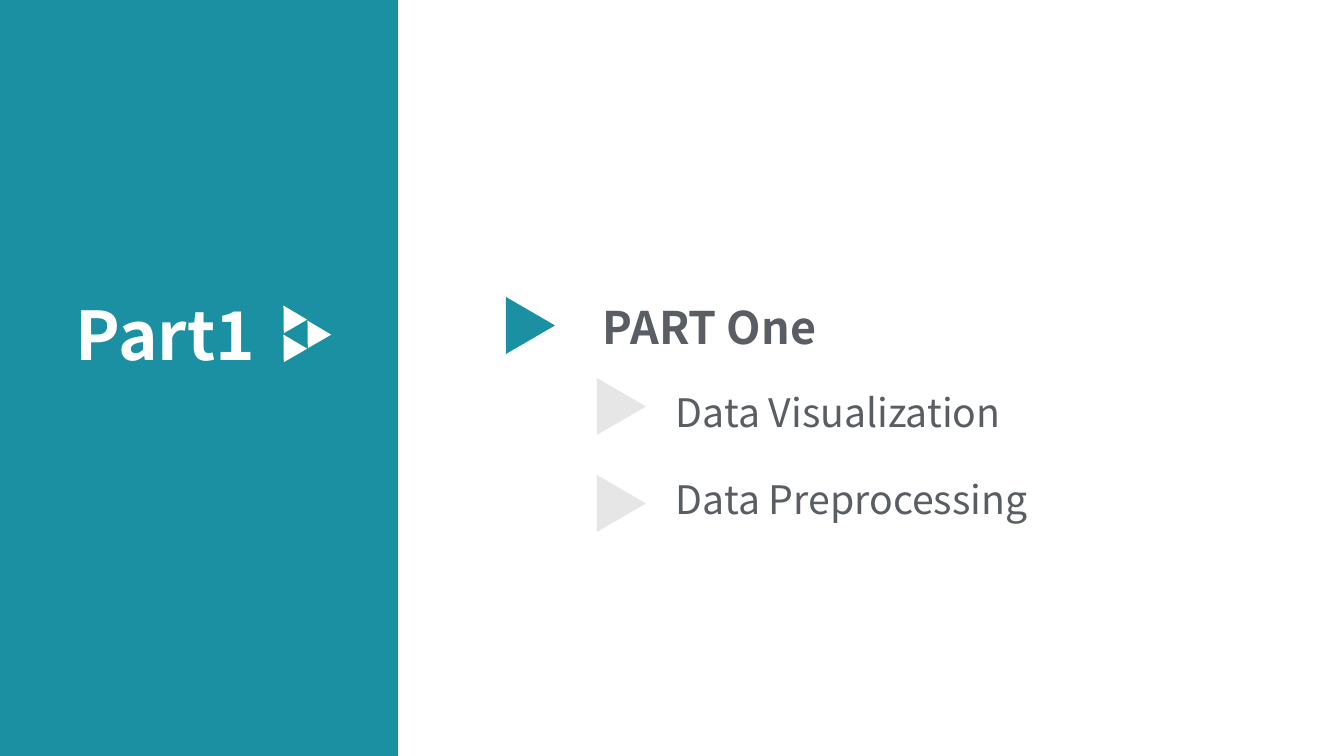
from dataclasses import dataclass

from lxml import etree
from pptx import Presentation
from pptx.dml.color import RGBColor
from pptx.enum import shapes, text
from pptx.oxml import ns
from pptx.util import Emu, Pt

TEAL = RGBColor(0x1B, 0x90, 0xA2)
GREY = RGBColor(0x59, 0x5E, 0x64)
PALE = RGBColor(0xE7, 0xE6, 0xE6)
WHITE = RGBColor(0xFF, 0xFF, 0xFF)
FONT = "Noto Sans CJK SC"
EMU_PER_PX = 914400 / 100.8


@dataclass(frozen=True)
class Box:
    left: int
    top: int
    width: int
    height: int


@dataclass(frozen=True)
class Block:
    """A preset shape filled with one colour."""
    box: Box
    color: RGBColor
    kind: shapes.MSO_SHAPE = shapes.MSO_SHAPE.ISOSCELES_TRIANGLE
    rotation: int = 90


@dataclass(frozen=True)
class Style:
    size: int
    color: RGBColor
    bold: bool = False


def px(length: int) -> Emu:
    return Emu(round(length * EMU_PER_PX))


def place(shape, box: Box) -> None:
    for name in ("left", "top", "width", "height"):
        setattr(shape, name, px(getattr(box, name)))


def draw_block(slide, block: Block) -> None:
    shape = slide.shapes.add_shape(block.kind, 0, 0, 0, 0)
    place(shape, block.box)
    shape.rotation = block.rotation
    shape.shadow.inherit = False
    shape.fill.solid()
    shape.fill.fore_color.rgb = block.color
    shape.line.fill.background()


def write_lines(shape, box: Box, lines: list[str], style: Style,
                gap: float = 0, inset: int = 10) -> None:
    place(shape, box)
    frame = shape.text_frame
    frame_format = {
        "word_wrap": True,
        "auto_size": text.MSO_AUTO_SIZE.NONE,
        "vertical_anchor": text.MSO_ANCHOR.MIDDLE,
        "margin_left": px(inset),
    }
    for name, value in frame_format.items():
        setattr(frame, name, value)

    font_format = {"name": FONT, "size": Pt(style.size), "bold": style.bold}
    for index, line in enumerate(lines):
        paragraph = frame.paragraphs[0] if index == 0 else frame.add_paragraph()
        properties = paragraph._p.get_or_add_pPr()
        properties.set("marL", "0")
        properties.set("indent", "0")
        etree.SubElement(properties, ns.qn("a:buNone"))
        paragraph.alignment = text.PP_ALIGN.LEFT
        paragraph.space_before = Pt(gap if index else 0)
        run = paragraph.add_run()
        run.text = line
        for name, value in font_format.items():
            setattr(run.font, name, value)
        run.font.color.rgb = style.color


TOPICS = ["Data Visualization", "Data Preprocessing"]
TOPIC_TOP, TOPIC_PITCH = 382, 97

BANNER = Block(Box(0, 0, 398, 756), TEAL, shapes.MSO_SHAPE.RECTANGLE, 0)
PART_MARKER = Block(Box(502, 301, 57, 49), TEAL)
TOPIC_MARKERS = [
    Block(Box(593, TOPIC_TOP + row * TOPIC_PITCH, 57, 49), PALE)
    for row in range(len(TOPICS))
]
# Three small triangles that form one arrow
ARROW_PIECES = [
    Block(Box(left, top, 27, 24), WHITE, rotation=330)
    for left, top in ((276, 304), (276, 333), (300, 319))
]


def main() -> None:
    presentation = Presentation()
    presentation.slide_width, presentation.slide_height = px(1344), px(756)
    slide = presentation.slides.add_slide(presentation.slide_layouts[1])
    title, topics = slide.placeholders

    # Banner and triangles
    for block in [BANNER, PART_MARKER, *TOPIC_MARKERS, *ARROW_PIECES]:
        draw_block(slide, block)

    # Section title, brought in front of the banner
    title.element.getparent().append(title.element)
    write_lines(title, Box(66, 288, 221, 92), ["Part1"], Style(48, WHITE, True))

    # Part heading
    heading = slide.shapes.add_textbox(0, 0, 0, 0)
    write_lines(heading, Box(583, 294, 419, 65), ["PART One"],
                Style(32, GREY, True), inset=20)

    # Topic list
    write_lines(topics, Box(666, 378, 403, 154), TOPICS, Style(28, GREY), gap=28.6)

    presentation.save("out.pptx")


if __name__ == "__main__":
    main()
